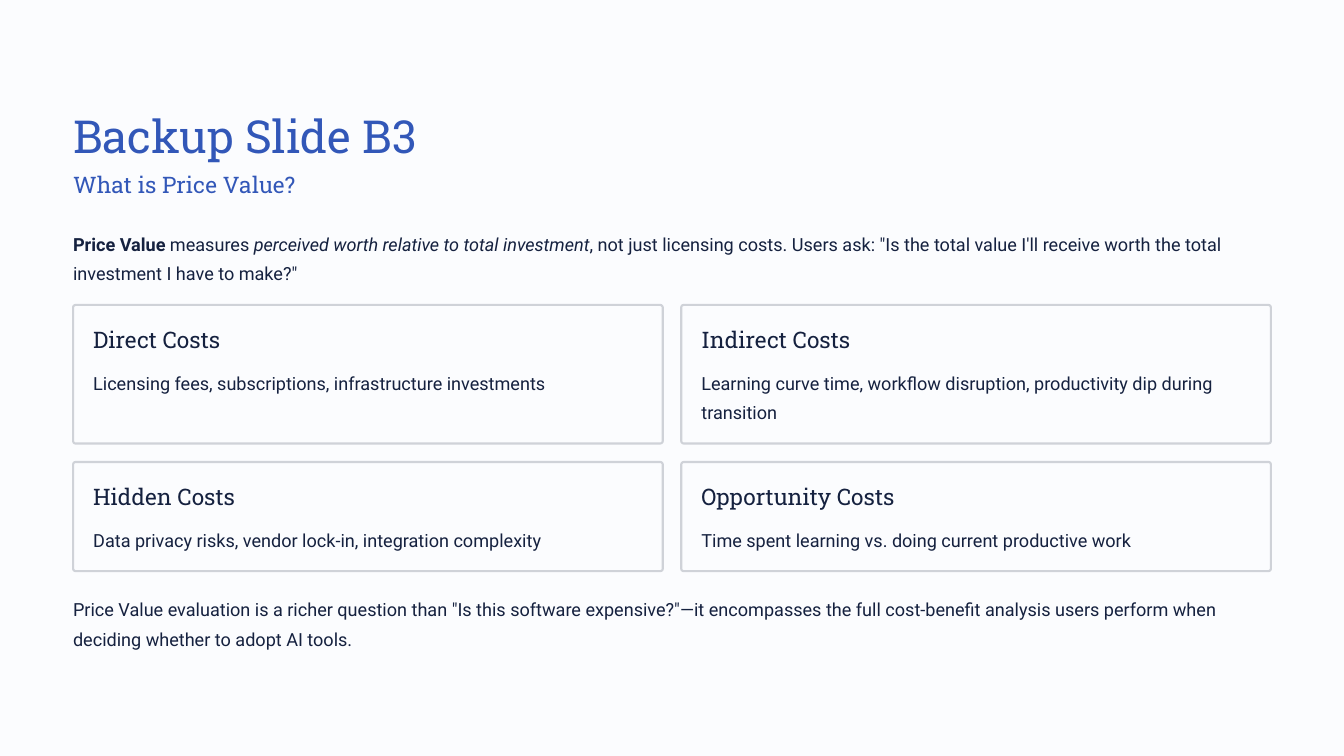
from dataclasses import dataclass

from pptx import Presentation
from pptx.dml.color import RGBColor
from pptx.enum.shapes import MSO_SHAPE
from pptx.util import Inches, Pt


@dataclass(frozen=True)
class TextStyle:
    font: str
    size: float
    leading: float
    color: RGBColor


class Theme:
    paper = RGBColor.from_string("FBFCFE")
    border = RGBColor.from_string("CFD2D8")
    blue = RGBColor.from_string("3257B8")
    ink = RGBColor.from_string("15213F")
    border_width = 1.8
    corner = 0.03
    title = TextStyle("Roboto Slab", 39, 48.5, blue)
    subtitle = TextStyle("Roboto Slab", 19.5, 24, blue)
    heading = TextStyle("Roboto Slab", 19.5, 24, ink)
    body = TextStyle("Roboto", 15.5, 25, ink)


LEFT, WIDTH = 0.87, 14.26
GAP, PADDING = 0.22, 0.24
CARD_WIDTH = (WIDTH - GAP) / 2
CARDS_TOP = 3.63

INTRO = [
    ("Price Value", "bold"),
    (" measures ", None),
    ("perceived worth relative to total investment", "italic"),
    (", not just licensing costs. Users ask: \"Is the total value I'll receive "
     "worth the total investment I have to make?\"", None),
]
CLOSING = ("Price Value evaluation is a richer question than \"Is this software "
           "expensive?\"—it encompasses the full cost-benefit analysis users "
           "perform when deciding whether to adopt AI tools.")
# Each row: height, then (heading, description) for each card
CARD_ROWS = [
    (1.65, [
        ("Direct Costs",
         "Licensing fees, subscriptions, infrastructure investments"),
        ("Indirect Costs",
         "Learning curve time, workflow disruption, productivity dip during transition"),
    ]),
    (1.3, [
        ("Hidden Costs",
         "Data privacy risks, vendor lock-in, integration complexity"),
        ("Opportunity Costs",
         "Time spent learning vs. doing current productive work"),
    ]),
]


class SlideBuilder:
    def __init__(self, prs, theme):
        self.theme = theme
        self.slide = prs.slides.add_slide(prs.slide_layouts[6])
        fill = self.slide.background.fill
        fill.solid()
        fill.fore_color.rgb = theme.paper

    def text(self, x, y, w, h, content, style):
        """Add one paragraph; content is a string or (text, emphasis) runs."""
        box = self.slide.shapes.add_textbox(Inches(x), Inches(y), Inches(w), Inches(h))
        tf = box.text_frame
        tf.word_wrap = True
        tf.margin_left = tf.margin_right = tf.margin_top = tf.margin_bottom = 0
        p = tf.paragraphs[0]
        p.line_spacing = Pt(style.leading)
        p.font.name = style.font
        p.font.size = Pt(style.size)
        p.font.color.rgb = style.color
        runs = [(content, None)] if isinstance(content, str) else content
        for words, emphasis in runs:
            r = p.add_run()
            r.text = words
            if emphasis == "bold":
                r.font.bold = True
            elif emphasis == "italic":
                r.font.italic = True

    def card(self, x, y, w, h, heading, description):
        sp = self.slide.shapes.add_shape(
            MSO_SHAPE.ROUNDED_RECTANGLE, Inches(x), Inches(y), Inches(w), Inches(h))
        sp.shadow.inherit = False
        sp.adjustments[0] = self.theme.corner / h
        sp.fill.solid()
        sp.fill.fore_color.rgb = self.theme.paper
        sp.line.color.rgb = self.theme.border
        sp.line.width = Pt(self.theme.border_width)
        inner_x, inner_y, inner_w = x + PADDING, y + PADDING, w - 2 * PADDING
        self.text(inner_x, inner_y, inner_w, 0.34, heading, self.theme.heading)
        self.text(inner_x, inner_y + 0.47, inner_w, h - 2 * PADDING - 0.47,
                  description, self.theme.body)


def main():
    prs = Presentation()
    prs.slide_width, prs.slide_height = Inches(16), Inches(9)
    theme = Theme()
    s = SlideBuilder(prs, theme)

    s.text(LEFT, 1.26, 5.43, 0.68, "Backup Slide B3", theme.title)
    s.text(LEFT, 2.03, 2.71, 0.34, "What is Price Value?", theme.subtitle)
    s.text(LEFT, 2.69, WIDTH, 0.69, INTRO, theme.body)

    y = CARDS_TOP
    for height, cards in CARD_ROWS:
        for col, (heading, description) in enumerate(cards):
            x = LEFT + col * (CARD_WIDTH + GAP)
            s.card(x, y, CARD_WIDTH, height, heading, description)
        y += height + GAP

    s.text(LEFT, 7.04, WIDTH, 0.69, CLOSING, theme.body)
    prs.save("out.pptx")


if __name__ == "__main__":
    main()
